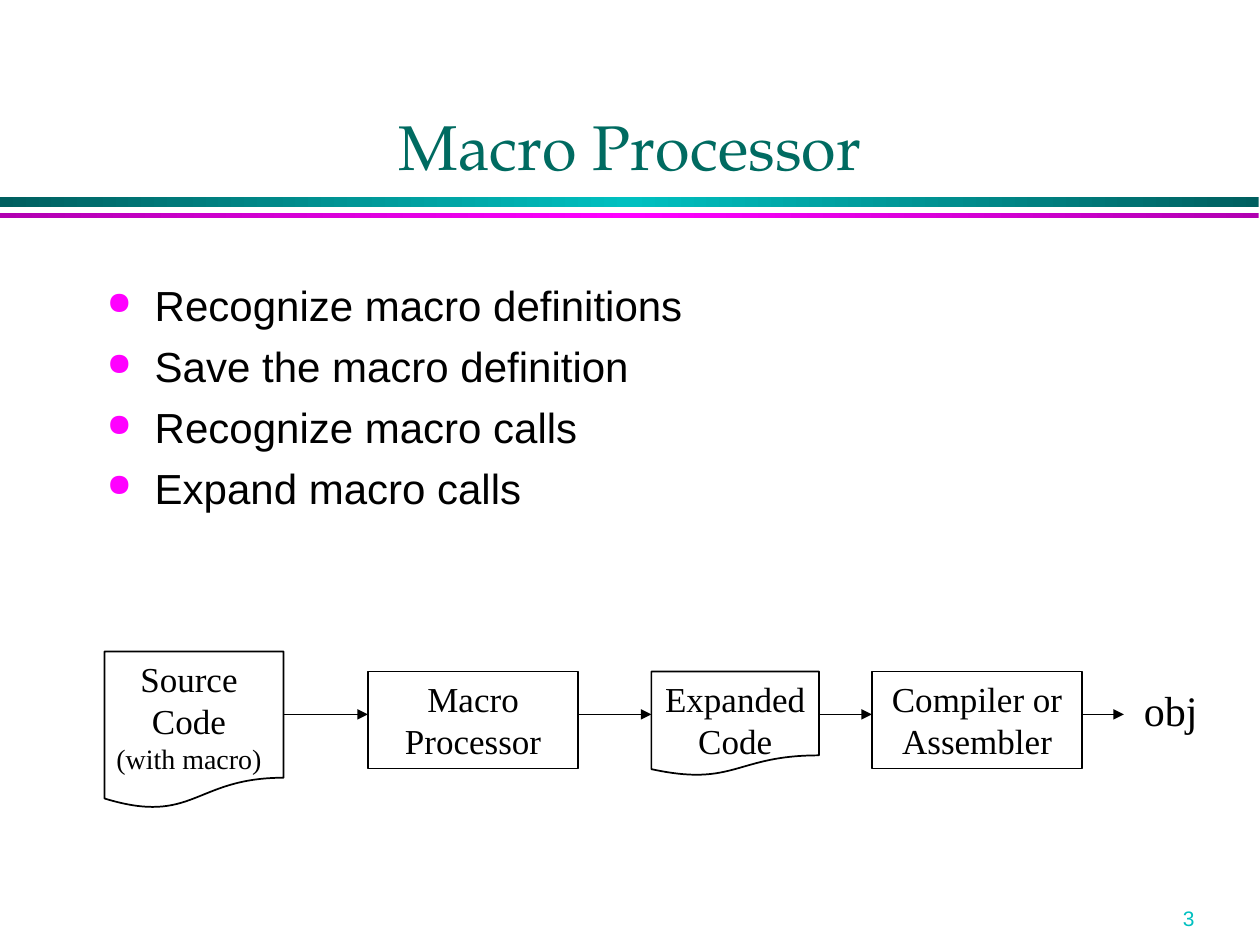
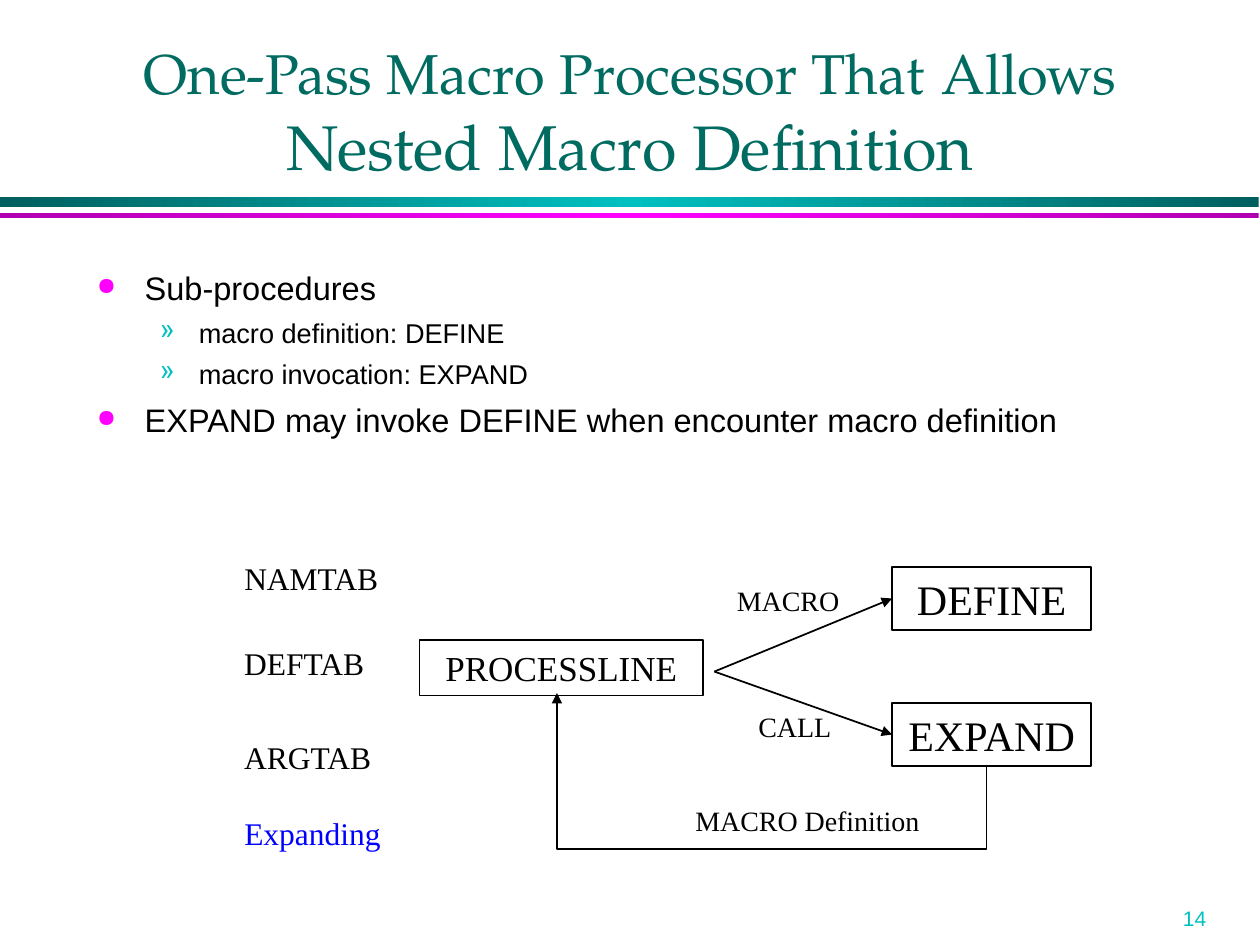
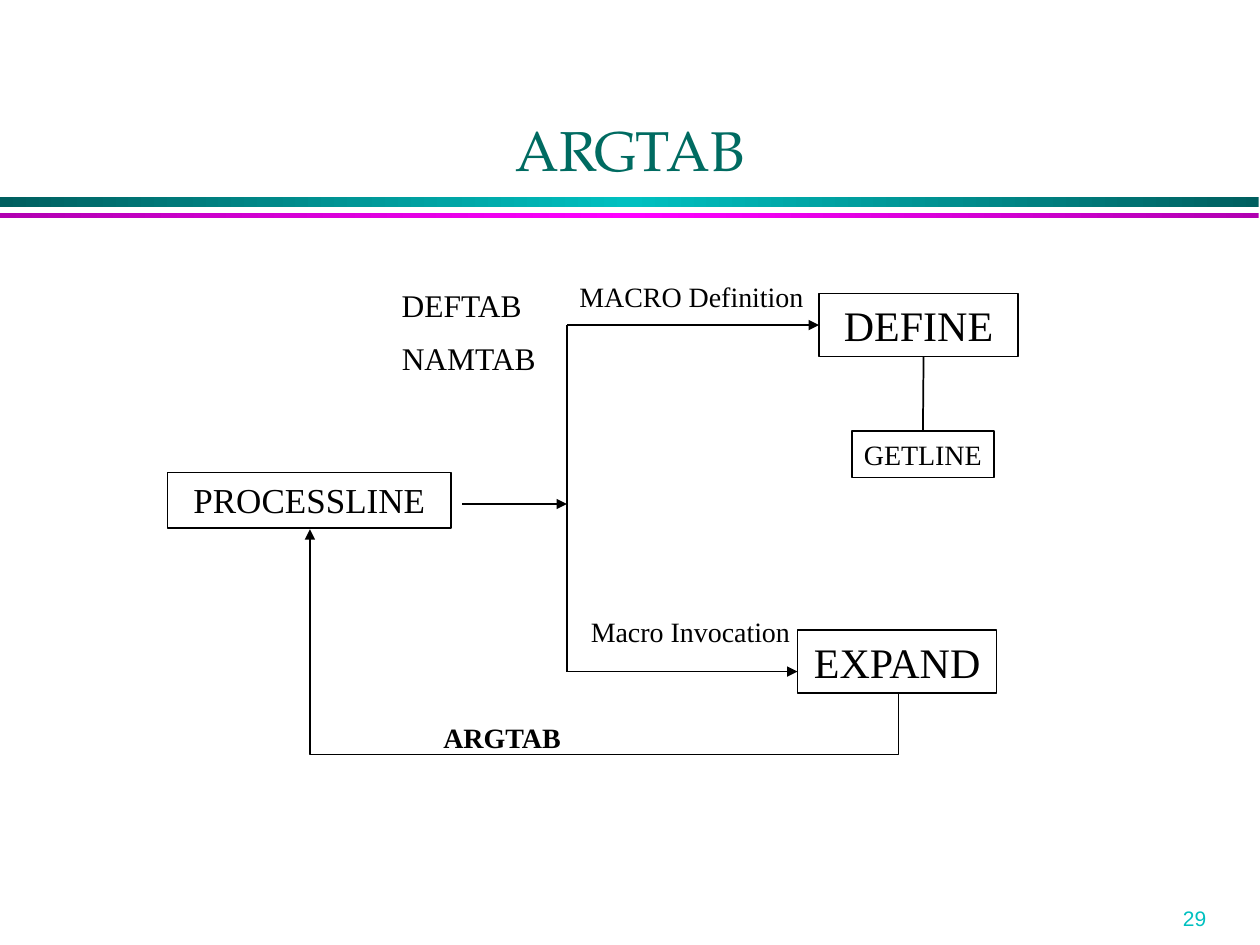
from copy import deepcopy
from dataclasses import dataclass

from lxml.etree import SubElement
from pptx import Presentation
from pptx.dml.color import RGBColor
from pptx.enum.shapes import MSO_CONNECTOR, MSO_SHAPE
from pptx.enum.text import MSO_ANCHOR, MSO_AUTO_SIZE, PP_ALIGN
from pptx.oxml.ns import qn
from pptx.util import Inches, Pt


@dataclass(frozen=True)
class Theme:
    title_font: str = "TeX Gyre Pagella"
    body_font: str = "Arial"
    diagram_font: str = "Times New Roman"
    title: str = "006B61"
    text: str = "000000"
    teal: str = "00C0C0"
    dark_teal: str = "005F5F"
    magenta: str = "FF00FF"
    dark_magenta: str = "B100B1"
    highlight: str = "0000FF"
    title_large: float = 36
    title_small: float = 32
    large: float = 24
    medium: float = 20
    table_name: float = 18
    small: float = 16
    page: float = 12


THEME = Theme()
BANDS = [
    (1.56, 0.08, (THEME.dark_teal, THEME.teal, THEME.dark_teal)),
    (1.69, 0.04, (THEME.dark_magenta, THEME.magenta, THEME.dark_magenta)),
]
BULLETS = [
    {"char": "●", "color": THEME.magenta, "percent": 75, "left": 0.38, "hang": 0.38, "before": 6},
    {"char": "»", "color": THEME.teal, "percent": 100, "left": 0.81, "hang": 0.31, "before": 5},
]
OPERATION_SIZE = (1.58, 0.5)
PROCESSLINE_SIZE = (2.25, 0.44)
STEP_SIZE = (1.67, 0.77)

SLIDES = [
    {
        "page": "3",
        "title": [("Macro Processor", THEME.title_large)],
        "body": {
            "at": (0.75, 2.17, 8.5, 2.2),
            "sizes": (24,),
            "items": [
                (0, "Recognize macro definitions"),
                (0, "Save the macro definition"),
                (0, "Recognize macro calls"),
                (0, "Expand macro calls"),
            ],
        },
        "documents": [
            ((0.83, 5.17, 1.42, 1.25), (0.75, 5.17, 1.5, 1.04),
             [("Source Code", THEME.medium), ("(with macro)", THEME.small)]),
            ((5.17, 5.33, 1.33, 0.83), (5.17, 5.33, 1.33, 0.77),
             [("Expanded Code", THEME.medium)]),
        ],
        "boxes": [
            ("Macro Processor", (2.92, 5.33), STEP_SIZE, THEME.medium),
            ("Compiler or Assembler", (6.92, 5.33), STEP_SIZE, THEME.medium),
        ],
        "labels": [("obj", (8.98, 5.38, 0.62, 0.5), THEME.large, {})],
        "lines": [
            {"from": (start, 5.67), "to": (end, 5.67), "arrow": True}
            for start, end in ((2.25, 2.92), (4.58, 5.17), (6.5, 6.92), (8.58, 8.92))
        ],
    },
    {
        "page": "14",
        "title": [
            ("One-Pass Macro Processor That", THEME.title_small),
            (" ", THEME.title_large),
            ("Allows ", THEME.title_small),
            ("Nested Macro Definition", THEME.title_large),
        ],
        "body": {
            "at": (0.67, 2.08, 8.5, 1.5),
            "sizes": (18.6, 15.5),
            "items": [
                (0, "Sub-procedures"),
                (1, "macro definition: DEFINE"),
                (1, "macro invocation: EXPAND"),
                (0, "EXPAND may invoke DEFINE when encounter macro definition"),
            ],
        },
        "boxes": [
            ("DEFINE", (7.08, 4.5), OPERATION_SIZE, THEME.large),
            ("EXPAND", (7.08, 5.58), OPERATION_SIZE, THEME.large),
            ("PROCESSLINE", (3.33, 5.08), PROCESSLINE_SIZE, THEME.medium),
        ],
        "labels": [
            ("DEFTAB", (1.84, 5.06, 1.17, 0.4), THEME.table_name, {}),
            ("NAMTAB", (1.84, 4.39, 1.28, 0.4), THEME.table_name, {}),
            ("ARGTAB", (1.84, 5.81, 1.2, 0.4), THEME.table_name, {}),
            ("Expanding", (1.84, 6.41, 1.28, 0.4), THEME.table_name, {"color": THEME.highlight}),
            ("MACRO", (5.75, 4.58, 1.01, 0.37), THEME.small, {}),
            ("CALL", (5.92, 5.58, 0.78, 0.37), THEME.small, {}),
            ("MACRO Definition", (5.42, 6.33, 1.98, 0.37), THEME.small, {}),
        ],
        "lines": [
            {"from": (5.67, 5.33), "to": (7.08, 4.75), "arrow": True, "end": ("DEFINE", 1)},
            {"from": (5.67, 5.33), "to": (7.08, 5.83), "arrow": True, "end": ("EXPAND", 1)},
        ],
        "return": {"from": (7.83, 6.07), "to": (4.42, 5.5), "bottom": 6.74},
    },
    {
        "page": "29",
        "title": [("ARGTAB", THEME.title_small)],
        "boxes": [
            ("DEFINE", (6.5, 2.33), OPERATION_SIZE, THEME.large),
            ("EXPAND", (6.33, 5), OPERATION_SIZE, THEME.large),
            ("PROCESSLINE", (1.33, 3.75), PROCESSLINE_SIZE, THEME.medium),
            ("GETLINE", (6.76, 3.42), (1.13, 0.37), THEME.small),
        ],
        "labels": [
            ("DEFTAB", (3.09, 2.22, 1.17, 0.4), THEME.table_name, {}),
            ("NAMTAB", (3.09, 2.64, 1.28, 0.4), THEME.table_name, {}),
            ("ARGTAB", (3.42, 5.67, 1.15, 0.37), THEME.small, {"bold": True}),
            ("MACRO Definition", (4.5, 2.17, 1.98, 0.37), THEME.small, {}),
            ("Macro Invocation", (4.59, 4.83, 1.78, 0.37), THEME.small, {}),
        ],
        "lines": [
            {"from": (4.5, 2.58), "to": (6.5, 2.58), "arrow": True, "end": ("DEFINE", 1)},
            {"from": (4.5, 5.33), "to": (6.33, 5.33), "arrow": True},
            {"from": (4.5, 2.58), "to": (4.5, 5.33)},
            {"from": (3.67, 4), "to": (4.5, 4), "arrow": True},
            {"from": (7.33, 2.83), "to": (7.33, 3.42), "end": ("GETLINE", 0)},
        ],
        "return": {"from": (7.13, 5.51), "to": (2.46, 4.2), "bottom": 5.99},
    },
]


def inches(values):
    return [Inches(value) for value in values]


def set_values(target, values):
    for name, value in values.items():
        setattr(target, name, value)


def add_run(paragraph, text, size, font=THEME.diagram_font, color=THEME.text, bold=False):
    run = paragraph.add_run()
    run.text = text
    set_values(run.font, {"name": font, "size": Pt(size), "bold": bold})
    run.font.color.rgb = RGBColor.from_string(color)


def prepare_frame(shape, wrap=True, anchor=MSO_ANCHOR.TOP):
    frame = shape.text_frame
    set_values(frame, {
        "word_wrap": wrap, "auto_size": MSO_AUTO_SIZE.NONE, "vertical_anchor": anchor,
        "margin_left": Inches(0.1), "margin_right": Inches(0.1),
        "margin_top": Inches(0.05), "margin_bottom": Inches(0.05),
    })
    return frame


def add_paragraphs(frame, count):
    return [frame.paragraphs[0]] + [frame.add_paragraph() for _ in range(count - 1)]


def add_text(slide, text, at, size, wrap=False, **run_format):
    frame = prepare_frame(slide.shapes.add_textbox(*inches(at)), wrap)
    add_run(frame.paragraphs[0], text, size, **run_format)


def add_outline(slide, preset, at):
    shape = slide.shapes.add_shape(preset, *inches(at))
    shape.shadow.inherit = False
    shape.fill.background()
    shape.line.color.rgb = RGBColor.from_string(THEME.text)
    shape.line.width = Pt(1)
    return shape


def add_band(slide, top, height, colors):
    band = slide.shapes.add_shape(MSO_SHAPE.RECTANGLE, *inches((0, top, 9.99, height)))
    band.shadow.inherit = False
    band.line.fill.background()
    band.fill.gradient()
    band.fill.gradient_angle = 0
    stops = band.element.spPr.find(qn("a:gradFill")).find(qn("a:gsLst"))
    stops.append(deepcopy(stops[0]))
    for index, (stop, color) in enumerate(zip(band.fill.gradient_stops, colors)):
        stop.color.rgb = RGBColor.from_string(color)
        stop.position = index / 2


def add_title(slide, runs):
    title = slide.shapes.title
    set_values(title, dict(zip(("left", "top", "width", "height"), inches((0.75, 0.25, 8.5, 1.25)))))
    paragraph = prepare_frame(title, anchor=MSO_ANCHOR.BOTTOM).paragraphs[0]
    paragraph.alignment = PP_ALIGN.CENTER
    for text, size in runs:
        add_run(paragraph, text, size, THEME.title_font, THEME.title)


def set_bullet(paragraph, bullet):
    paragraph.space_before = Pt(bullet["before"])
    properties = paragraph._p.get_or_add_pPr()
    properties.set("marL", str(Inches(bullet["left"])))
    properties.set("indent", str(-Inches(bullet["hang"])))
    color = SubElement(properties, qn("a:buClr"))
    SubElement(color, qn("a:srgbClr"), val=bullet["color"])
    SubElement(properties, qn("a:buSzPct"), val=str(bullet["percent"] * 1000))
    SubElement(properties, qn("a:buChar"), char=bullet["char"])


def add_body(slide, body):
    frame = prepare_frame(slide.shapes.add_textbox(*inches(body["at"])))
    paragraphs = add_paragraphs(frame, len(body["items"]))
    for paragraph, (level, text) in zip(paragraphs, body["items"]):
        paragraph.level = level
        set_bullet(paragraph, BULLETS[level])
        add_run(paragraph, text, body["sizes"][level], THEME.body_font)


def add_document(slide, outline_at, text_at, lines):
    frame = prepare_frame(slide.shapes.add_textbox(*inches(text_at)))
    for paragraph, (text, size) in zip(add_paragraphs(frame, len(lines)), lines):
        paragraph.alignment = PP_ALIGN.CENTER
        add_run(paragraph, text, size)
    add_outline(slide, MSO_SHAPE.FLOWCHART_DOCUMENT, outline_at)


def add_box(slide, text, position, box_size, size):
    box = add_outline(slide, MSO_SHAPE.RECTANGLE, position + box_size)
    paragraph = prepare_frame(box, wrap=" " in text).paragraphs[0]
    paragraph.alignment = PP_ALIGN.CENTER
    add_run(paragraph, text, size)
    return box


def add_line(slide, kind, start, end, arrow):
    connector = slide.shapes.add_connector(kind, *inches(start + end))
    connector.line.color.rgb = RGBColor.from_string(THEME.text)
    connector.line.width = Pt(1)
    if arrow:
        SubElement(connector.line._get_or_add_ln(), qn("a:tailEnd"), type="triangle")
    SubElement(connector.element.spPr, qn("a:effectLst"))
    return connector


def add_return(slide, start, end, bottom):
    width, height = start[1] - end[1], start[0] - end[0]
    left = (start[0] + end[0] - width) / 2
    top = (start[1] + end[1] - height) / 2
    connector = add_line(slide, MSO_CONNECTOR.ELBOW, (left, top + height), (left + width, top), True)
    properties = connector.element.spPr
    properties.find(qn("a:xfrm")).set("rot", str(270 * 60000))
    adjustment = round((start[1] - bottom) / width * 100000)
    guides = properties.find(qn("a:prstGeom")).find(qn("a:avLst"))
    SubElement(guides, qn("a:gd"), name="adj1", fmla=f"val {adjustment}")


def add_slide(presentation, content):
    slide = presentation.slides.add_slide(presentation.slide_layouts[5])
    for band in BANDS:
        add_band(slide, *band)
    add_text(slide, content["page"], (9.29, 7.14, 0.7, 0.3), THEME.page, True,
             font=THEME.body_font, color=THEME.teal)
    add_title(slide, content["title"])
    if "body" in content:
        add_body(slide, content["body"])
    for document in content.get("documents", []):
        add_document(slide, *document)
    boxes = {box[0]: add_box(slide, *box) for box in content["boxes"]}
    for text, at, size, run_format in content["labels"]:
        add_text(slide, text, at, size, **run_format)
    for line in content["lines"]:
        connector = add_line(slide, MSO_CONNECTOR.STRAIGHT, line["from"], line["to"], line.get("arrow"))
        if "end" in line:
            name, side = line["end"]
            connector.end_connect(boxes[name], side)
    if "return" in content:
        route = content["return"]
        add_return(slide, route["from"], route["to"], route["bottom"])


def main():
    presentation = Presentation()
    presentation.slide_width, presentation.slide_height = inches((10, 7.5))
    for content in SLIDES:
        add_slide(presentation, content)
    presentation.save("out.pptx")


if __name__ == "__main__":
    main()
